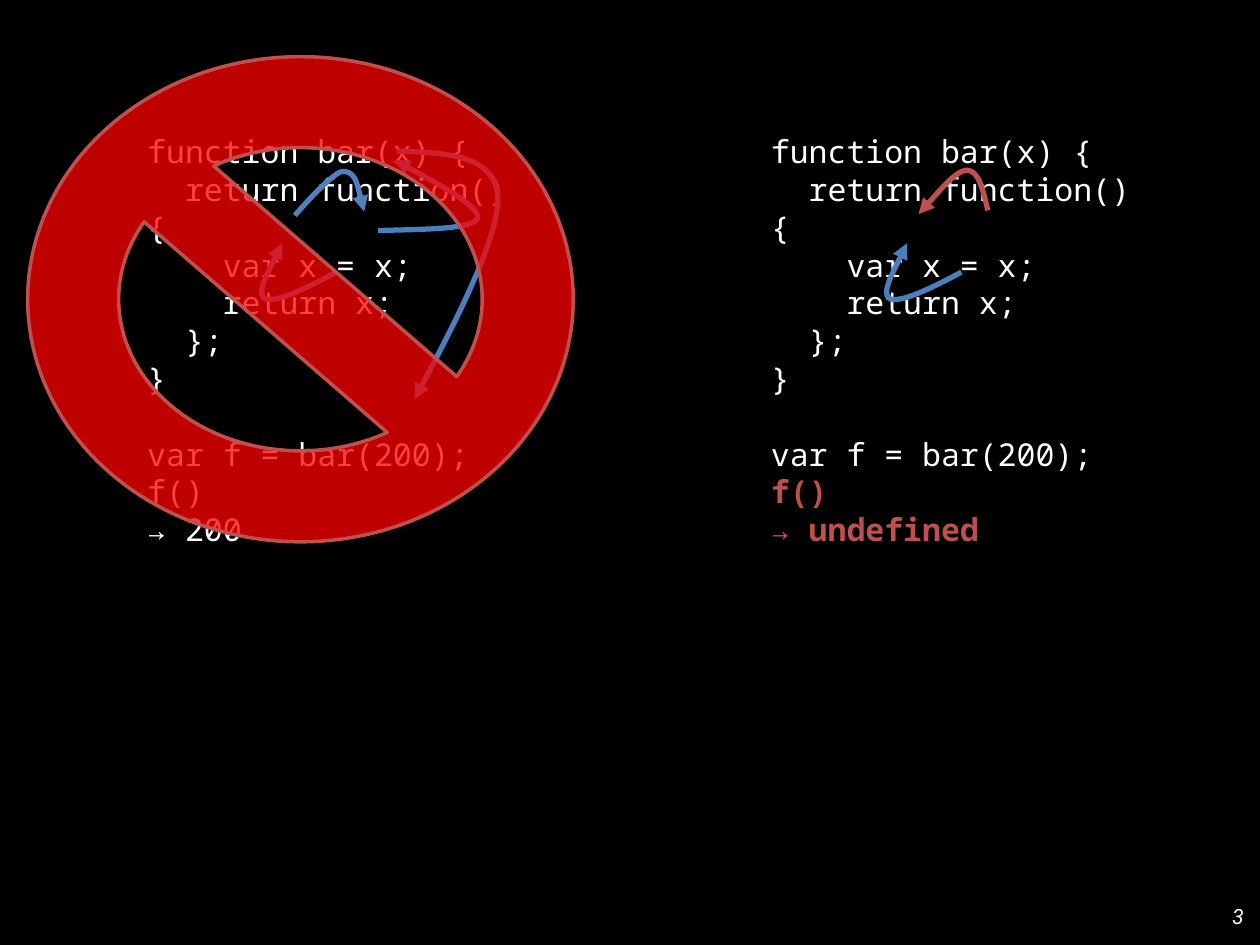
from lxml.etree import SubElement
from pptx import Presentation
from pptx.dml.color import RGBColor
from pptx.enum.shapes import MSO_SHAPE
from pptx.enum.text import MSO_ANCHOR, MSO_AUTO_SIZE, PP_ALIGN
from pptx.oxml.ns import qn
from pptx.util import Inches, Pt

BLACK = RGBColor(0x00, 0x00, 0x00)
WHITE = RGBColor(0xFF, 0xFF, 0xFF)
RED = RGBColor(0xFF, 0x00, 0x00)
BRICK = RGBColor(0xC0, 0x50, 0x4D)
BLUE = RGBColor(0x4B, 0x7E, 0xBC)
LIGHT_BLUE = RGBColor(0x4F, 0x81, 0xBD)

CODE_FONT = {"name": "Noto Sans Mono", "size": Pt(18)}
NUMBER_FONT = {"name": "Roboto", "size": Pt(12), "italic": True}
PLAIN = {"bold": False}
STRONG = {"bold": True}

CALL_LINE = "var f = bar(200);"
CODE = [
    "function bar(x) {",
    "  return function() {",
    "    var x = x;",
    "    return x;",
    "  };",
    "}",
    CALL_LINE,
]

LOOP = (0.58, 0.44), [(0.58, 0.23), (0.34, 0.36), (0.09, 0.48), (0.01, 0.44),
                      (-0.06, 0.4), (0.15, 0), (0.15, 0)]
HOP = (0.55, 0.35), [(0.55, 0.32), (0.51, 0.16), (0.48, 0), (0.38, 0),
                     (0.29, 0.01), (0, 0.35), (0, 0.35)]
HOOK = (0.79, 0.56), [(0, 0.56), (0.38, 0.55), (0.76, 0.55), (0.79, 0.46),
                      (0.81, 0.36), (0.13, 0), (0.13, 0)]
SWEEP = (0.8, 1.97), [(0, 0), (0.39, 0.01), (0.78, 0.03), (0.8, 0.36),
                      (0.83, 0.69), (0.14, 1.97), (0.14, 1.97)]


def add_code(page, left, result, color, weight):
    box = page.shapes.add_textbox(Inches(left), Inches(1), Inches(3.15), Inches(3.13))
    frame = box.text_frame
    frame.word_wrap = True
    frame.auto_size = MSO_AUTO_SIZE.SHAPE_TO_FIT_TEXT
    lines = [(text, WHITE, PLAIN) for text in CODE]
    lines += [(text, color, weight) for text in ("f()", result)]
    for index, (text, shade, style) in enumerate(lines):
        para = frame.paragraphs[0] if index == 0 else frame.add_paragraph()
        if text == CALL_LINE:
            para.space_before = Pt(21.6)
        span = para.add_run()
        span.text = text
        for name, value in {**CODE_FONT, **style}.items():
            setattr(span.font, name, value)
        span.font.color.rgb = shade


def add_curved_arrow(page, left, top, curve, color, end="tailEnd"):
    (width, height), points = curve
    builder = page.shapes.build_freeform(Inches(left), Inches(top))
    corner = (Inches(left + width), Inches(top + height))
    builder.add_line_segments([corner], close=False)
    arrow = builder.convert_to_shape()
    outline = next(arrow.element.iter(qn("a:path")))
    for segment in list(outline):
        outline.remove(segment)
    for tag, controls in (
        ("a:moveTo", points[:1]),
        ("a:cubicBezTo", points[1:4]),
        ("a:cubicBezTo", points[4:]),
    ):
        segment = SubElement(outline, qn(tag))
        for x, y in controls:
            SubElement(segment, qn("a:pt"), x=str(Inches(x)), y=str(Inches(y)))
    arrow.shadow.inherit = False
    arrow.fill.background()
    arrow.line.color.rgb = color
    arrow.line.width = Pt(3)
    SubElement(arrow.line._get_or_add_ln(), qn(f"a:{end}"), type="triangle")


deck = Presentation()
deck.slide_width = Inches(10)
deck.slide_height = Inches(7.5)
page = deck.slides.add_slide(deck.slide_layouts[6])
page.background.fill.solid()
page.background.fill.fore_color.rgb = BLACK

add_code(page, 1.07, "→ 200", WHITE, PLAIN)
add_curved_arrow(page, 3, 1.27, HOOK, BLUE)
add_curved_arrow(page, 2.09, 1.93, LOOP, BLUE)
add_code(page, 6.02, "→ undefined", BRICK, STRONG)
add_curved_arrow(page, 7.05, 1.93, LOOP, BLUE)
add_curved_arrow(page, 7.29, 1.35, HOP, BRICK)

number_box = page.shapes.add_textbox(Inches(7.64), Inches(7.07), Inches(2.33), Inches(0.4))
number_box.text_frame.word_wrap = True
number_box.text_frame.vertical_anchor = MSO_ANCHOR.MIDDLE
para = number_box.text_frame.paragraphs[0]
para.alignment = PP_ALIGN.RIGHT
span = para.add_run()
span.text = "3"
for name, value in NUMBER_FONT.items():
    setattr(span.font, name, value)
span.font.color.rgb = WHITE

add_curved_arrow(page, 3.15, 1.2, SWEEP, BLUE)

ban = page.shapes.add_shape(
    MSO_SHAPE.NO_SYMBOL, Inches(0.22), Inches(0.45), Inches(4.33), Inches(3.85)
)
ban.shadow.inherit = False
ban.fill.solid()
ban.fill.fore_color.rgb = RED
fill_color = ban.fill._xPr.find(qn("a:solidFill")).find(qn("a:srgbClr"))
SubElement(fill_color, qn("a:alpha"), val="75000")
ban.line.color.rgb = BRICK
ban.line.width = Pt(2)

add_curved_arrow(page, 2.34, 1.36, HOP, LIGHT_BLUE, "headEnd")

deck.save("out.pptx")
